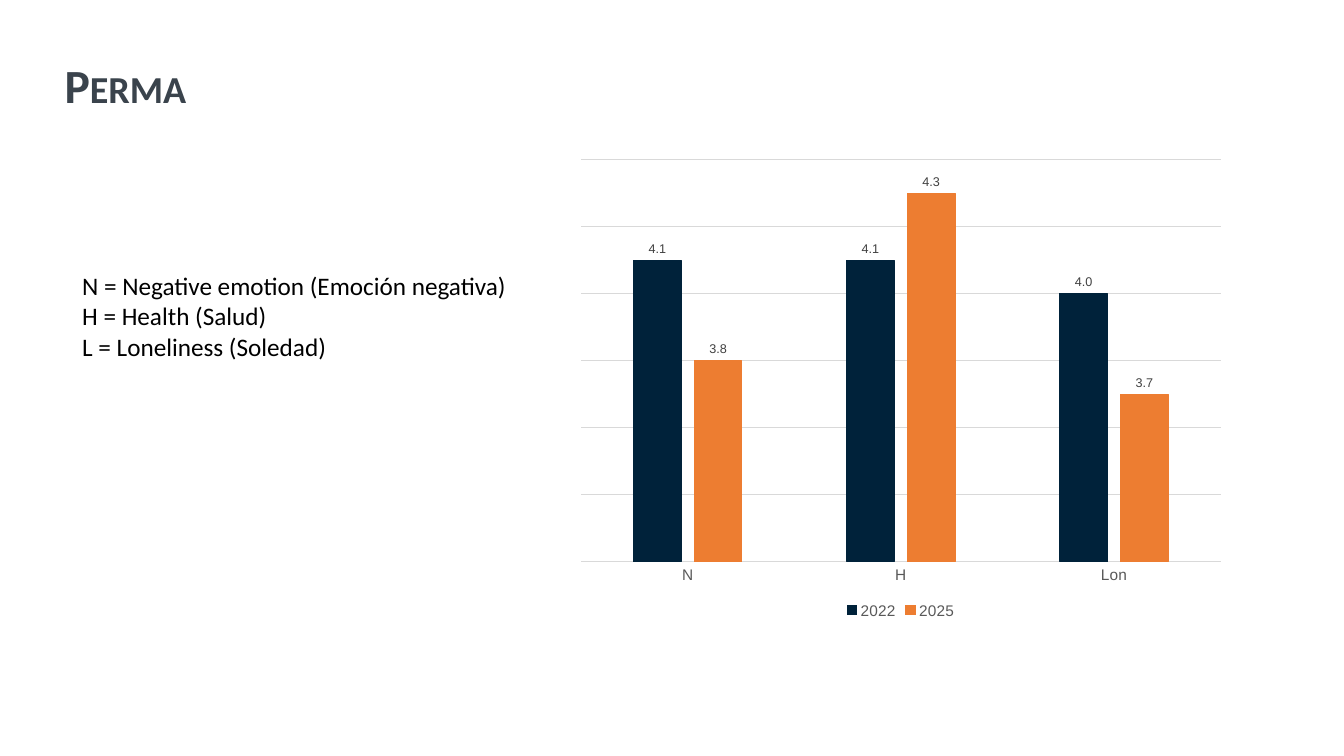
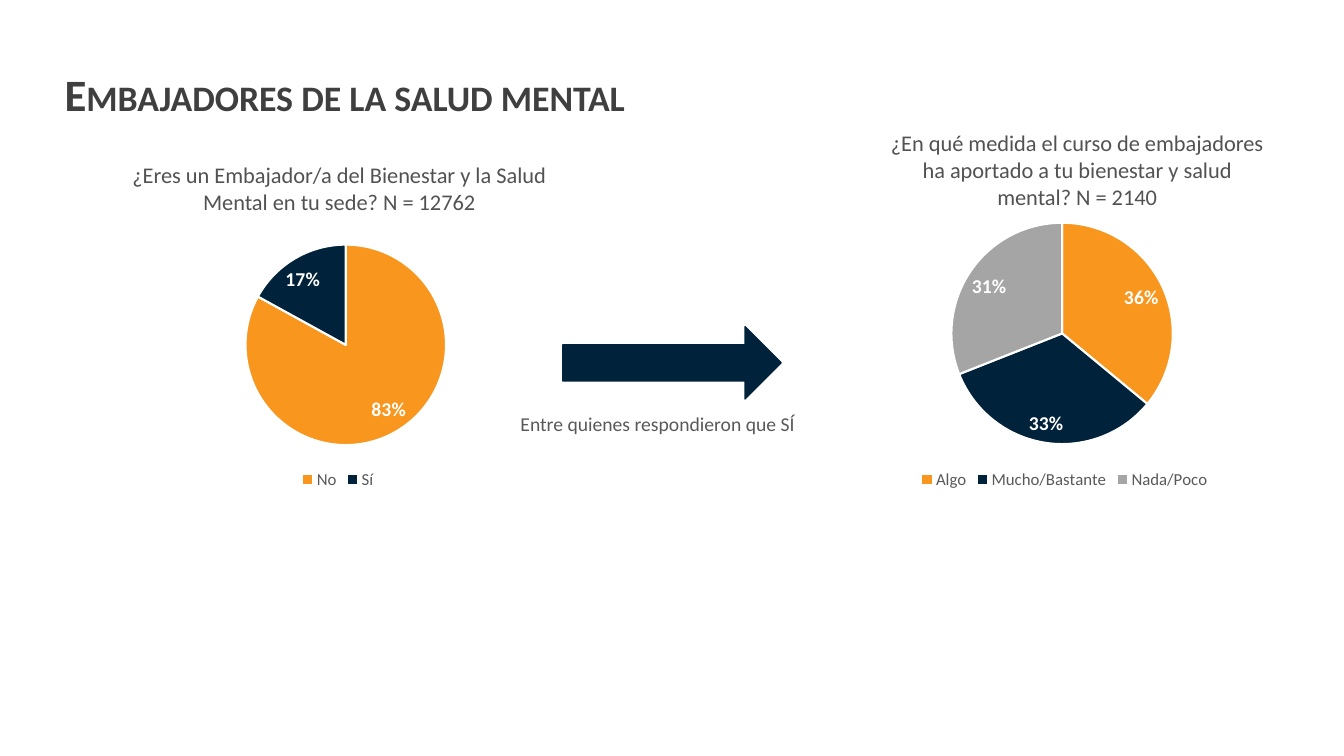
import pptx
import pptx.chart.data
import pptx.dml.color
import pptx.enum.chart
import pptx.enum.shapes
import pptx.enum.text
import pptx.oxml.ns
import pptx.util
from lxml import etree

RGB = pptx.dml.color.RGBColor
BLACK = RGB(0x00, 0x00, 0x00)
WHITE = RGB(0xFF, 0xFF, 0xFF)
NAVY = RGB(0x00, 0x22, 0x3A)
ORANGE = RGB(0xED, 0x7D, 0x31)
AMBER = RGB(0xF8, 0x96, 0x1E)
SILVER = RGB(0xA5, 0xA5, 0xA5)
GRID_GRAY = RGB(0xD9, 0xD9, 0xD9)
TEXT_GRAY = RGB(0x59, 0x59, 0x59)
LABEL_GRAY = RGB(0x40, 0x40, 0x40)
QUESTION_GRAY = RGB(0x52, 0x52, 0x52)
SLATE = RGB(0x3A, 0x43, 0x4C)
CHARCOAL = RGB(0x3F, 0x3F, 0x3F)

COLUMNS, ROWS = 160, 90
CENTER = pptx.enum.text.PP_ALIGN.CENTER
CHART = pptx.enum.chart


class Deck:
    """Holds the deck's style and current slide; places elements on a 160 by 90 grid."""

    def __init__(self):
        self.show = pptx.Presentation()
        self.show.slide_width = pptx.util.Inches(13.33)
        self.show.slide_height = pptx.util.Inches(7.5)
        self.slide = None

    def box(self, left, top, width, height):
        column = self.show.slide_width / COLUMNS
        row = self.show.slide_height / ROWS
        return [round(n) for n in (left * column, top * row, width * column, height * row)]

    def style(self, font, size, color, name="Calibri", bold=False):
        formats = {"name": name, "size": pptx.util.Pt(size), "bold": bold}
        for key, value in formats.items():
            setattr(font, key, value)
        font.color.rgb = color

    def outline(self, line, color, width):
        line.color.rgb = color
        line.width = pptx.util.Pt(width)

    def text(self, place, lines, size, color, align=None, bold=False):
        frame = self.slide.shapes.add_textbox(*self.box(*place)).text_frame
        frame.word_wrap = True
        frame.text = "\n".join(lines)
        for paragraph in frame.paragraphs:
            paragraph.alignment = align
            self.style(paragraph.runs[0].font, size, color, bold=bold)
        return frame

    def titled_slide(self, title, top, height, size, color):
        self.slide = self.show.slides.add_slide(self.show.slide_layouts[6])
        frame = self.text((6.5, top, 152.8, height), [title], size, color, bold=True)
        frame.vertical_anchor = pptx.enum.text.MSO_ANCHOR.MIDDLE
        heading = frame.paragraphs[0]
        heading.line_spacing = 0.9
        heading.runs[0].font._element.set("cap", "small")

    def arrow(self, place, color):
        kind = pptx.enum.shapes.MSO_SHAPE.RIGHT_ARROW
        arrow = self.slide.shapes.add_shape(kind, *self.box(*place))
        arrow.shadow.inherit = False
        arrow.fill.solid()
        arrow.fill.fore_color.rgb = color
        self.outline(arrow.line, color, 1)

    def chart(self, kind, place, categories, series, plot_share, legend_font):
        data = pptx.chart.data.CategoryChartData()
        data.categories = categories
        for name, values in series.items():
            data.add_series(name, values)
        chart = self.slide.shapes.add_chart(kind, *self.box(*place), data).chart
        self.style(chart.font, 10, BLACK, "Arial")
        chart.has_title = False
        chart.has_legend = True
        chart.legend.position = CHART.XL_LEGEND_POSITION.BOTTOM
        chart.legend.include_in_layout = False
        self.style(chart.legend.font, **legend_font)
        self.fix_plot(chart, plot_share)
        return chart

    def fix_plot(self, chart, plot_share):
        qn = pptx.oxml.ns.qn
        area = chart._chartSpace.chart.plotArea
        for old in area.findall(qn("c:layout")):
            area.remove(old)
        layout = etree.Element(qn("c:layout"))
        manual = etree.SubElement(layout, qn("c:manualLayout"))
        settings = {"layoutTarget": "inner", "xMode": "edge", "yMode": "edge"}
        settings.update(zip("xywh", plot_share))
        for tag, value in settings.items():
            etree.SubElement(manual, qn(f"c:{tag}")).set("val", str(value))
        area.insert(0, layout)

    def labels(self, labels, number_format, position, **font):
        formats = {
            "show_value": True,
            "show_percentage": False,
            "number_format": number_format,
            "number_format_is_linked": False,
            "position": position,
        }
        for key, value in formats.items():
            setattr(labels, key, value)
        self.style(labels.font, **font)

    def columns(self, place, categories, series, colors, limits, step, plot_share):
        font = {"size": 11, "color": TEXT_GRAY, "name": "Arial"}
        chart = self.chart(CHART.XL_CHART_TYPE.COLUMN_CLUSTERED, place,
                           categories, series, plot_share, font)
        plot = chart.plots[0]
        for key, value in {"gap_width": 219, "overlap": -27, "vary_by_categories": False}.items():
            setattr(plot, key, value)
        for bars, color in zip(plot.series, colors):
            bars.format.fill.solid()
            bars.format.fill.fore_color.rgb = color
            self.outline(bars.format.line, color, 0.75)
            self.labels(bars.data_labels, "0.0", CHART.XL_LABEL_POSITION.OUTSIDE_END,
                        size=9, color=LABEL_GRAY, name="Arial")
        scale = chart.value_axis
        scale.minimum_scale, scale.maximum_scale = limits
        scale.major_unit = step
        scale.visible = False
        scale.has_major_gridlines = True
        self.outline(scale.major_gridlines.format.line, GRID_GRAY, 0.75)
        base = chart.category_axis
        base.major_tick_mark = CHART.XL_TICK_MARK.NONE
        self.style(base.tick_labels.font, **font)
        self.outline(base.format.line, GRID_GRAY, 0.75)

    def pie(self, place, shares, colors, plot_share):
        chart = self.chart(CHART.XL_CHART_TYPE.PIE, place, list(shares),
                           {"Series 1": list(shares.values())}, plot_share,
                           {"size": 12, "color": TEXT_GRAY})
        chart.plots[0].vary_by_categories = True
        slices = chart.plots[0].series[0]
        for index, color in enumerate(colors[:len(shares)]):
            portion = slices.points[index].format
            portion.fill.solid()
            portion.fill.fore_color.rgb = color
            self.outline(portion.line, WHITE, 1.5)
        self.labels(slices.data_labels, "0%", CHART.XL_LABEL_POSITION.BEST_FIT,
                    size=14, color=WHITE, bold=True)


def perma(deck):
    deck.titled_slide("Perma", 4.8, 11.3, 34, SLATE)
    meanings = [
        "N = Negative emotion (Emoción negativa)",
        "H = Health (Salud)",
        "L = Loneliness (Soledad)",
    ]
    deck.text((8.6, 31.6, 59, 12.1), meanings, 18, BLACK)
    scores = {"2022": (4.1, 4.1, 4.0), "2025": (3.8, 4.3, 3.7)}
    deck.columns((67.6, 17.9, 79.3, 56.3), ["N", "H", "Lon"], scores,
                 (NAVY, ORANGE), (3.2, 4.4), 0.2, (0.02, 0.02, 0.96, 0.85))


def ambassadors(deck):
    deck.titled_slide("Embajadores de la salud mental", 2.9, 17.4, 32, CHARCOAL)
    surveys = [
        ("¿Eres un Embajador/a del Bienestar y la Salud Mental en tu sede? N = 12762",
         (12.5, 18.6, 55.8, 7.7), 9.6, {"No": 0.83, "Sí": 0.17},
         (0.32, 0.13, 0.39, 0.7)),
        ("¿En qué medida el curso de embajadores ha aportado a tu bienestar y salud mental? N = 2140",
         (104.3, 14.8, 47.9, 10.9), 96.1,
         {"Algo": 0.36, "Mucho/Bastante": 0.33, "Nada/Poco": 0.31},
         (0.28, 0.05, 0.43, 0.78)),
    ]
    for question, place, pie_left, shares, plot_share in surveys:
        deck.text(place, [question], 16, QUESTION_GRAY, CENTER)
        deck.pie((pie_left, 24.7, 61.3, 34.1), shares, (AMBER, NAVY, SILVER), plot_share)
    deck.arrow((67, 38.9, 26, 8.6), NAVY)
    deck.text((41.9, 48.5, 72.8, 4.1), ["Entre quienes respondieron que SÍ"],
              14, TEXT_GRAY, CENTER)


def main():
    deck = Deck()
    perma(deck)
    ambassadors(deck)
    deck.show.save("out.pptx")


if __name__ == "__main__":
    main()
